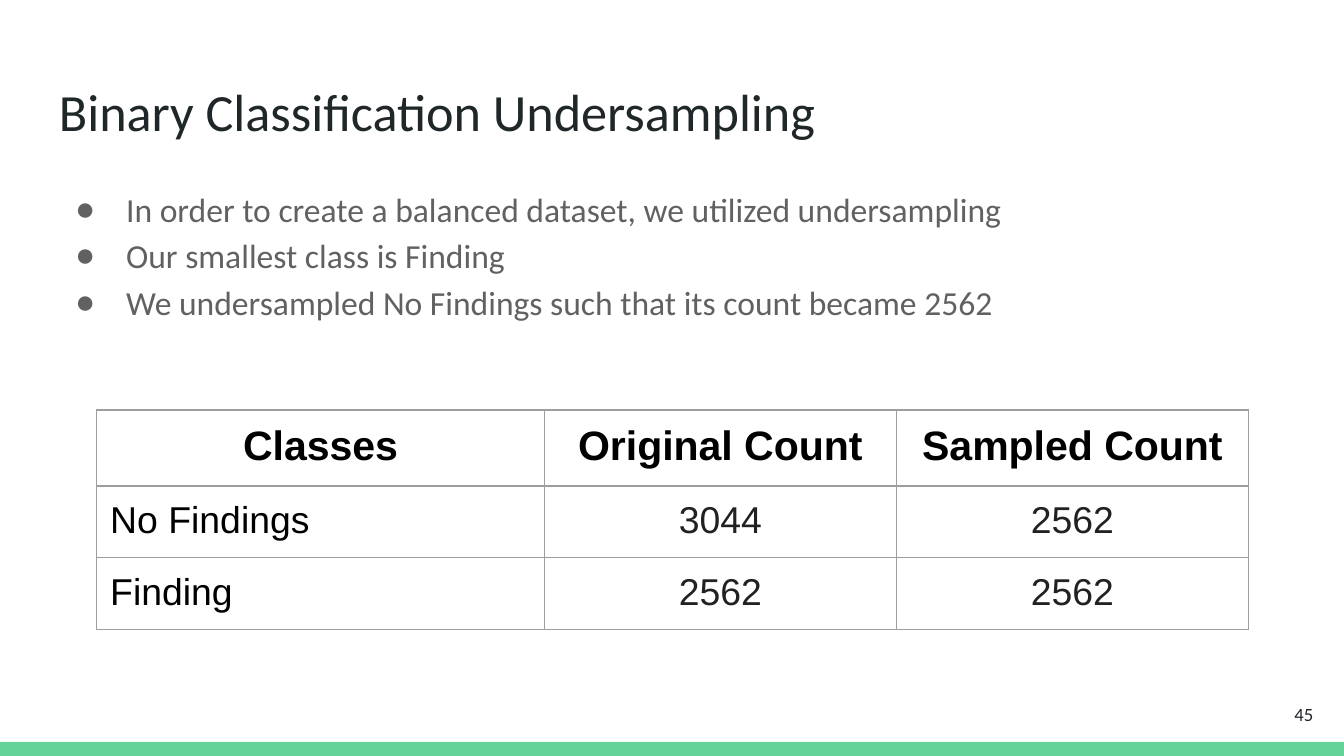
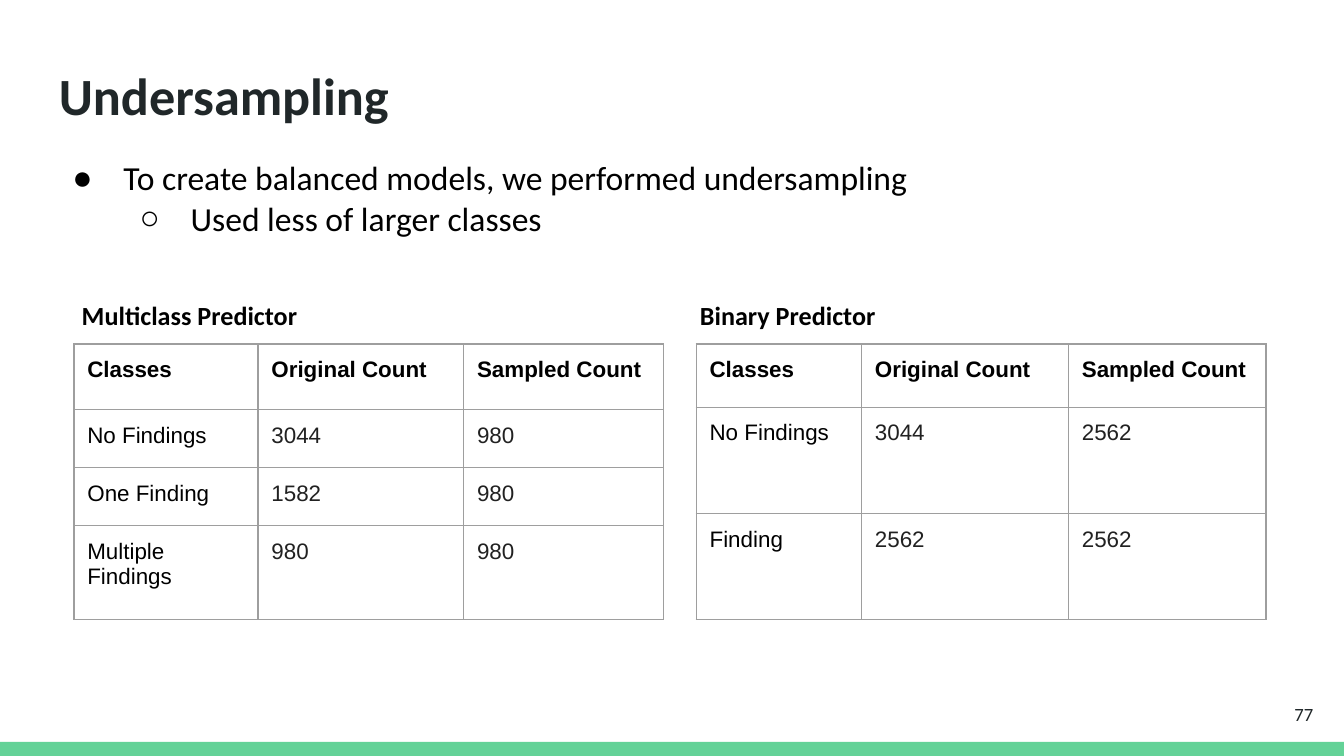
from lxml import etree
from pptx import Presentation
from pptx.dml.color import RGBColor
from pptx.enum.shapes import MSO_SHAPE
from pptx.enum.text import MSO_ANCHOR, PP_ALIGN
from pptx.oxml.ns import qn
from pptx.util import Inches, Pt

RECT = MSO_SHAPE.RECTANGLE
TOP, MIDDLE = MSO_ANCHOR.TOP, MSO_ANCHOR.MIDDLE
LEFT, CENTER, RIGHT = PP_ALIGN.LEFT, PP_ALIGN.CENTER, PP_ALIGN.RIGHT

GREEN = RGBColor(0x63, 0xD2, 0x97)
INK = RGBColor(0x20, 0x27, 0x29)
GRAY = RGBColor(0x61, 0x61, 0x61)
BLACK = RGBColor(0, 0, 0)
COUNT = RGBColor(0x21, 0x21, 0x21)
RULE = RGBColor(0x9E, 0x9E, 0x9E)

SANS, GRID = "Calibri", "Arial"
PAD = Inches(0.1)
FRAME = Inches(3.28)
MARKS = "●○"
HEAD = ("Classes", "Original Count", "Sampled Count")


def style(para, size, color, font=SANS, bold=False, align=LEFT):
    para.alignment = align
    for run in para.runs:
        run.font.name = font
        run.font.size = Pt(size)
        run.font.bold = bold
        run.font.color.rgb = color


def add_box(slide, box, anchor=TOP):
    frame = slide.shapes.add_textbox(*map(Inches, box)).text_frame
    frame.word_wrap = True
    frame.vertical_anchor = anchor
    frame.margin_left = frame.margin_right = PAD
    frame.margin_top = frame.margin_bottom = PAD
    return frame


def add_text(slide, box, text, size, color, bold=False, align=LEFT, anchor=TOP):
    frame = add_box(slide, box, anchor)
    frame.text = text
    style(frame.paragraphs[0], size, color, bold=bold, align=align)


def add_list(slide, box, items, color, spacing=1.0):
    """Add bullets from (level, text) pairs."""
    frame = add_box(slide, box)
    frame.text = "\n".join(text for _, text in items)
    for para, (level, _) in zip(frame.paragraphs, items):
        style(para, 18, color)
        para.level = level
        para.line_spacing = spacing
        props = para._p.get_or_add_pPr()
        props.set("marL", str(Inches(0.5 * (level + 1))))
        props.set("indent", str(Inches(-0.38)))
        tint = etree.SubElement(props, qn("a:buClr"))
        etree.SubElement(tint, qn("a:srgbClr"), val=str(color))
        etree.SubElement(props, qn("a:buFont"), typeface=GRID)
        etree.SubElement(props, qn("a:buChar"), char=MARKS[level])


def set_border(cell):
    props = cell._tc.get_or_add_tcPr()
    for i, side in enumerate(("lnL", "lnR", "lnT", "lnB")):
        line = etree.Element(qn("a:" + side), w=str(Pt(0.75)))
        fill = etree.SubElement(line, qn("a:solidFill"))
        etree.SubElement(fill, qn("a:srgbClr"), val=str(RULE))
        props.insert(i, line)


def add_table(slide, left, top, widths, heights, data, sizes=(12, 12), align=LEFT):
    """Add a count table; sizes are for head and body, align is for all but class names."""
    rows = [HEAD, *data]
    holder = slide.shapes.add_table(
        len(rows), len(HEAD), Inches(left), Inches(top), FRAME, FRAME)
    table = holder.table
    table.first_row = table.horz_banding = False
    for col, width in zip(table.columns, widths):
        col.width = Inches(width)
    for r, (row, height) in enumerate(zip(rows, heights)):
        table.rows[r].height = Inches(height)
        for c, value in enumerate(row):
            cell = table.cell(r, c)
            cell.text = str(value)
            cell.margin_left = cell.margin_right = PAD
            cell.margin_top = cell.margin_bottom = PAD
            cell.fill.background()
            set_border(cell)
            head, name = r == 0, c == 0
            style(cell.text_frame.paragraphs[0], sizes[0 if head else 1],
                  BLACK if head or name else COUNT, GRID, head,
                  LEFT if name and not head else align)
    holder.width = holder.height = FRAME


def add_slide(deck, title, box, number, bold=False):
    slide = deck.slides.add_slide(deck.slide_layouts[6])
    band = slide.shapes.add_shape(
        RECT, 0, Inches(5.52), deck.slide_width, Inches(0.11))
    band.shadow.inherit = False
    band.fill.solid()
    band.fill.fore_color.rgb = GREEN
    band.line.fill.background()
    add_text(slide, box, title, 28, INK, bold)
    add_text(slide, (9.27, 5.1, 0.6, 0.43), str(number), 10, INK,
             align=RIGHT, anchor=MIDDLE)
    return slide


def add_binary(deck):
    slide = add_slide(deck, "Binary Classification Undersampling",
                      (0.34, 0.49, 9.32, 0.63), 45)
    add_list(slide, (0.34, 1.26, 9.32, 3.74), [
        (0, "In order to create a balanced dataset, we utilized undersampling"),
        (0, "Our smallest class is Finding"),
        (0, "We undersampled No Findings such that its count became 2562"),
    ], GRAY, 1.15)
    add_table(slide, 0.72, 3.05, (3.33, 2.62, 2.62), [0.42] * 3,
              [("No Findings", 3044, 2562), ("Finding", 2562, 2562)],
              (22, 20), CENTER)


def add_models(deck):
    slide = add_slide(deck, "Undersampling", (0.34, 0.37, 9.21, 0.7), 77, True)
    top = 2.56
    add_table(slide, 0.55, top, (1.37, 1.53, 1.49), (0.49, 0.43, 0.43, 0.7),
              [("No Findings", 3044, 980), ("One Finding", 1582, 980),
               ("Multiple Findings", 980, 980)])
    add_table(slide, 5.18, top, (1.23, 1.54, 1.47), (0.47, 0.79, 0.79),
              [("No Findings", 3044, 2562), ("Finding", 2562, 2562)])
    for left, width, label in ((0.51, 2, "Multiclass Predictor"),
                               (5.11, 1.8, "Binary Predictor")):
        add_text(slide, (left, 2.13, width, 0.44), label, 14, BLACK, True)
    add_list(slide, (0.32, 1.07, 9.15, 1.11), [
        (0, "To create balanced models, we performed undersampling"),
        (1, "Used less of larger classes"),
    ], BLACK)


def main():
    deck = Presentation()
    deck.slide_width = Inches(10)
    deck.slide_height = deck.slide_width * 9 // 16
    add_binary(deck)
    add_models(deck)
    deck.save("out.pptx")


if __name__ == "__main__":
    main()
